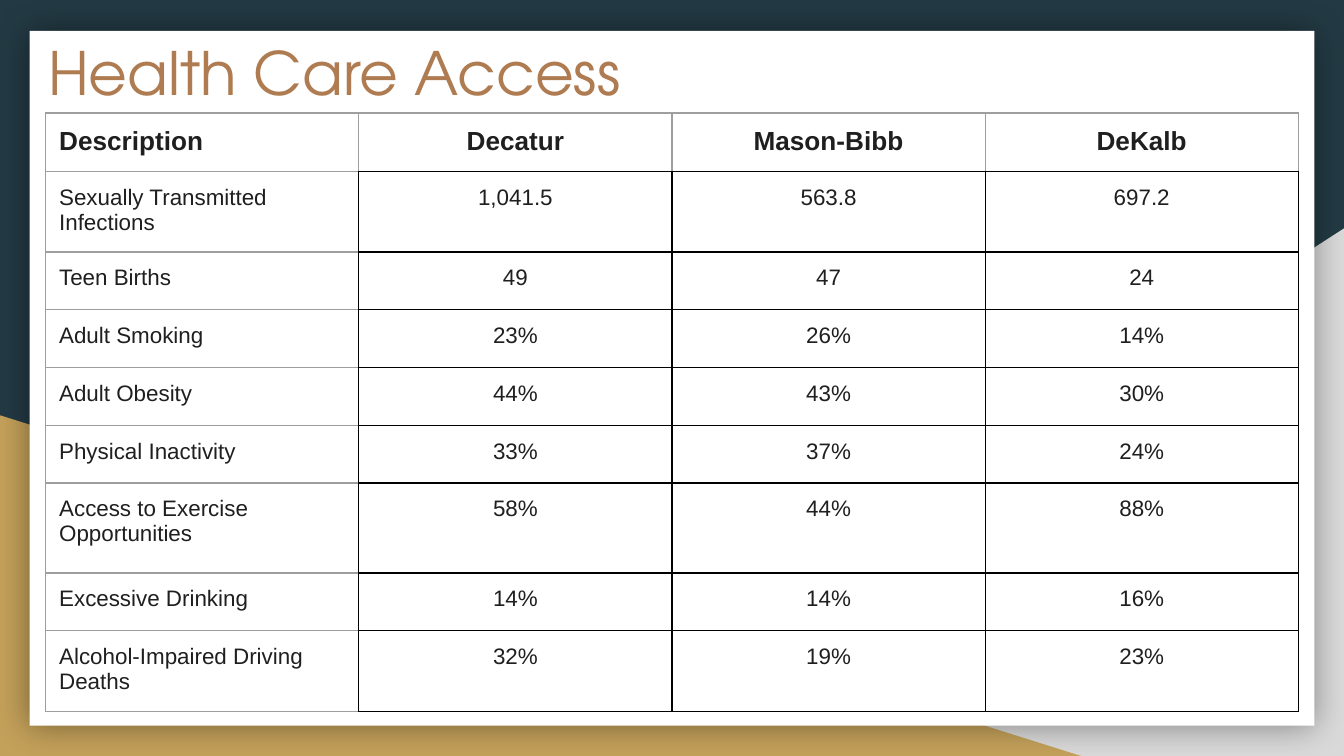
from dataclasses import dataclass

from lxml.etree import SubElement
from pptx import Presentation
from pptx.dml.color import RGBColor
from pptx.enum.shapes import MSO_SHAPE as Preset
from pptx.enum.text import MSO_ANCHOR as Anchor, PP_ALIGN as Align
from pptx.oxml import parse_xml
from pptx.oxml.ns import nsdecls, qn
from pptx.slide import Slide
from pptx.table import Table, _Cell as Cell
from pptx.text.text import _Paragraph as Paragraph
from pptx.util import Inches, Pt

COLORS = {
    "navy": "233A44",
    "silver": "D9D9D9",
    "gold": "C4A15A",
    "white": "FFFFFF",
    "bronze": "AF7B51",
    "ink": "1F1F1F",
    "gray": "9E9E9E",
    "black": "000000",
}
SLIDE_WIDTH = 10
SLIDE_HEIGHT = SLIDE_WIDTH * 9 / 16
HEADERS = ("Description", "Decatur", "Mason-Bibb", "DeKalb")
COLUMN_WIDTH = 2.33
ROW_HEIGHT = 0.43


@dataclass(frozen=True)
class Panel:
    preset: Preset
    left: float
    top: float
    width: float
    height: float
    color: str
    flipped: bool = False
    shadowed: bool = False


@dataclass(frozen=True)
class Measure:
    description: str
    values: tuple[str, str, str]
    height: float = ROW_HEIGHT


PANELS = (
    Panel(Preset.RIGHT_TRIANGLE, 3.92, 1.7, 6.08, 3.93, "silver", flipped=True),
    Panel(Preset.RIGHT_TRIANGLE, 0, 3.09, 8.06, 2.54, "gold"),
    Panel(Preset.RECTANGLE, 0.22, 0.23, 9.56, 5.17, "white", shadowed=True),
)
MEASURES = (
    Measure("Sexually Transmitted Infections", ("1,041.5", "563.8", "697.2"), 0.55),
    Measure("Teen Births", ("49", "47", "24")),
    Measure("Adult Smoking", ("23%", "26%", "14%")),
    Measure("Adult Obesity", ("44%", "43%", "30%")),
    Measure("Physical Inactivity", ("33%", "37%", "24%")),
    Measure("Access to Exercise Opportunities", ("58%", "44%", "88%"), 0.67),
    Measure("Excessive Drinking", ("14%", "14%", "16%")),
    Measure("Alcohol-Impaired Driving Deaths", ("32%", "19%", "23%"), 0.54),
)


def rgb(name: str) -> RGBColor:
    return RGBColor.from_string(COLORS[name])


def set_font(paragraph: Paragraph, name: str, size: int, color: str, bold: bool = False) -> None:
    font = paragraph.font
    font.name, font.size, font.bold = name, Pt(size), bold
    font.color.rgb = rgb(color)


def add_panel(slide: Slide, panel: Panel) -> None:
    bounds = (Inches(n) for n in (panel.left, panel.top, panel.width, panel.height))
    shape = slide.shapes.add_shape(panel.preset, *bounds)
    shape.fill.solid()
    shape.fill.fore_color.rgb = rgb(panel.color)
    shape.line.fill.background()
    shape.shadow.inherit = False
    properties = shape._element.spPr
    if panel.flipped:
        properties.find(qn("a:xfrm")).set("flipH", "1")
    if panel.shadowed:
        effects = properties.find(qn("a:effectLst"))
        effects.append(parse_xml(
            f'<a:outerShdw {nsdecls("a")} blurRad="{Pt(18)}" dist="0" dir="0" '
            f'algn="ctr" rotWithShape="0"><a:srgbClr val="{COLORS["black"]}">'
            '<a:alpha val="40000"/></a:srgbClr></a:outerShdw>'
        ))


def add_title(slide: Slide, text: str) -> None:
    box = slide.shapes.add_textbox(Inches(0.26), Inches(0.09), Inches(9.32), Inches(0.63))
    frame = box.text_frame
    frame.word_wrap = True
    frame.vertical_anchor = Anchor.TOP
    frame.margin_left = frame.margin_right = Inches(0.1)
    frame.margin_top = frame.margin_bottom = Inches(0.1)
    paragraph = frame.paragraphs[0]
    paragraph.text = text
    paragraph.line_spacing = 1.15
    set_font(paragraph, "TeX Gyre Adventor", 32, "bronze")


def set_borders(cell: Cell, left: str, right: str, top: str, bottom: str) -> None:
    properties = cell._tc.get_or_add_tcPr()
    sides = {"lnL": left, "lnR": right, "lnT": top, "lnB": bottom}
    for index, (side, color) in enumerate(sides.items()):
        line = SubElement(properties, qn(f"a:{side}"), w=str(Pt(0.75)))
        fill = SubElement(line, qn("a:solidFill"))
        SubElement(fill, qn("a:srgbClr"), val=COLORS[color])
        properties.insert(index, line)


def fill_cell(table: Table, row: int, column: int, text: str) -> None:
    cell = table.cell(row, column)
    cell.fill.background()
    cell.margin_left = cell.margin_right = Inches(0.1)
    cell.margin_top = cell.margin_bottom = Inches(0.1)
    is_header, is_label = row == 0, column == 0
    paragraph = cell.text_frame.paragraphs[0]
    paragraph.text = text
    paragraph.alignment = Align.LEFT if is_label else Align.CENTER
    set_font(paragraph, "Arial", 14 if is_header else 12, "ink", is_header)
    edge = "gray" if is_header or is_label else "black"
    set_borders(
        cell,
        left=edge,
        right="gray" if is_header else "black",
        top=edge,
        bottom="gray" if is_label else "black",
    )


def add_measures_table(slide: Slide) -> None:
    rows = [HEADERS, *((measure.description, *measure.values) for measure in MEASURES)]
    heights = [ROW_HEIGHT, *(measure.height for measure in MEASURES)]
    table = slide.shapes.add_table(
        len(rows), len(HEADERS), Inches(0.34), Inches(0.84),
        Inches(COLUMN_WIDTH * len(HEADERS)), Inches(sum(heights)),
    ).table
    table.first_row = table.horz_banding = False
    for column in table.columns:
        column.width = Inches(COLUMN_WIDTH)
    for row_index, (texts, height) in enumerate(zip(rows, heights)):
        table.rows[row_index].height = Inches(height)
        for column_index, text in enumerate(texts):
            fill_cell(table, row_index, column_index, text)


def main() -> None:
    presentation = Presentation()
    presentation.slide_width = Inches(SLIDE_WIDTH)
    presentation.slide_height = Inches(SLIDE_HEIGHT)
    slide = presentation.slides.add_slide(presentation.slide_layouts[6])
    slide.background.fill.solid()
    slide.background.fill.fore_color.rgb = rgb("navy")
    for panel in PANELS:
        add_panel(slide, panel)
    add_title(slide, "Health Care Access")
    add_measures_table(slide)
    presentation.save("out.pptx")


if __name__ == "__main__":
    main()
